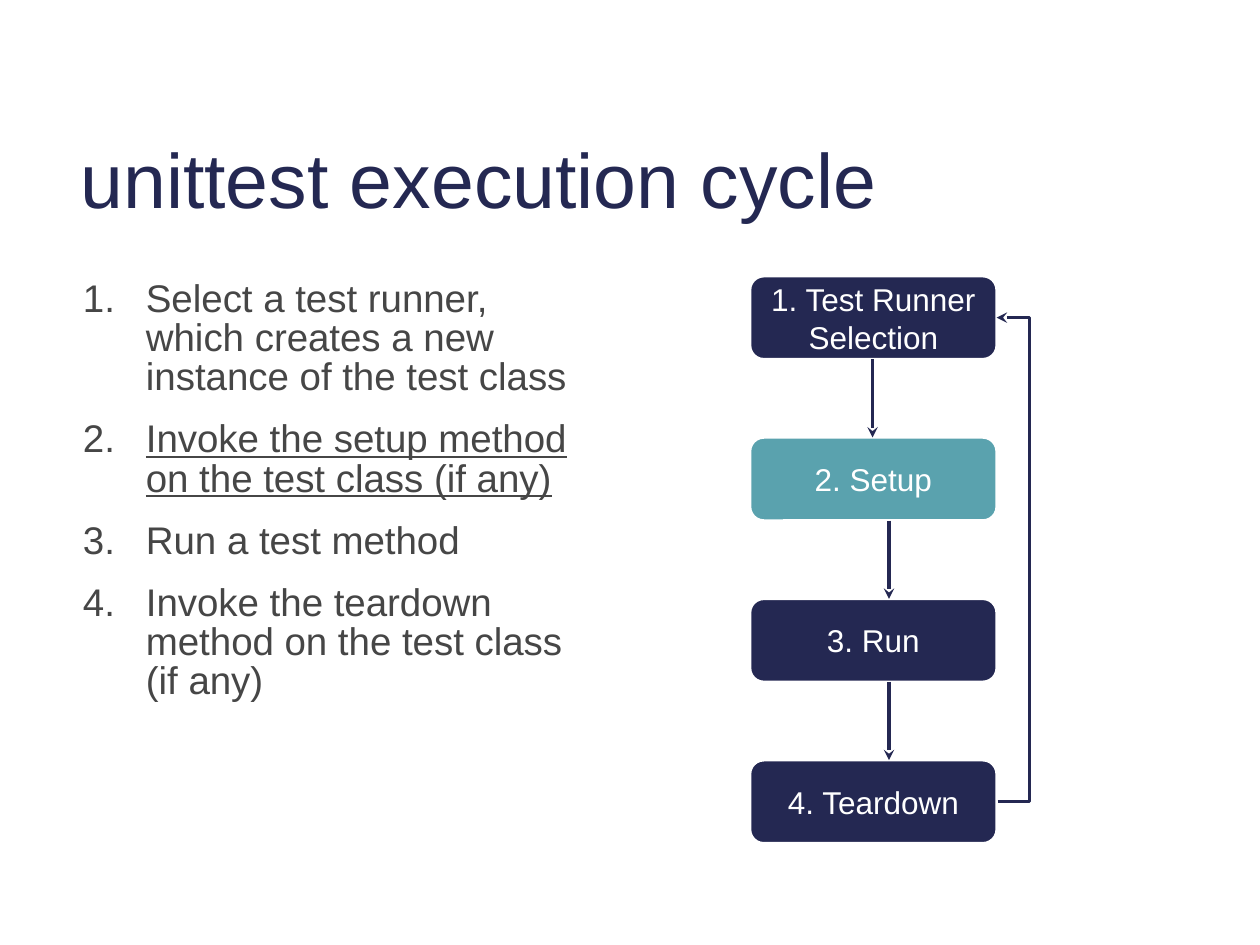
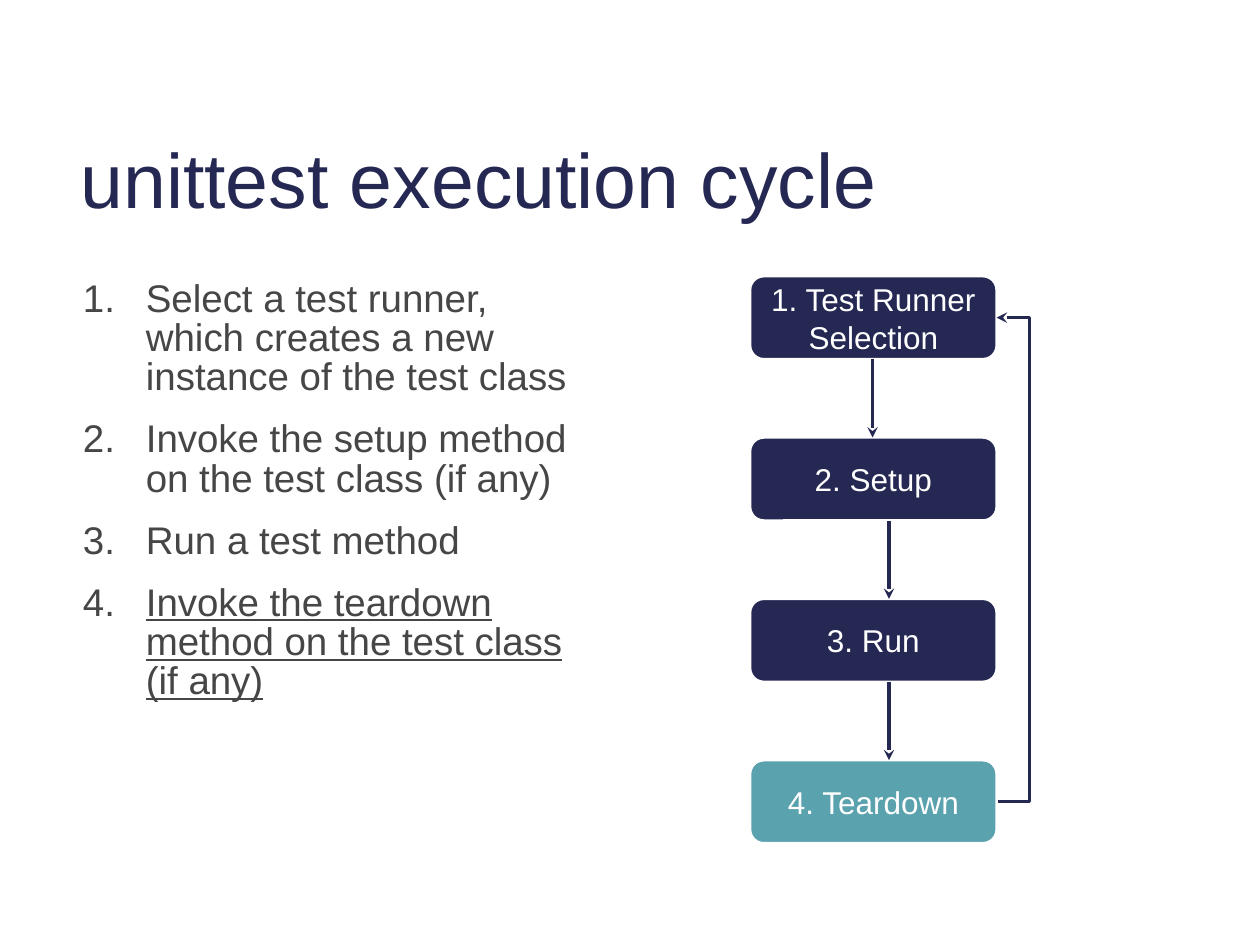
from pptx import Presentation
from pptx.dml.color import RGBColor
from pptx.enum.shapes import MSO_CONNECTOR, MSO_SHAPE
from pptx.enum.text import MSO_ANCHOR, PP_ALIGN
from pptx.oxml.ns import qn
from pptx.util import Pt
from lxml.etree import SubElement

NAVY, TEAL, GREY, WHITE = "242852", "5AA2AE", "464646", "FFFFFF"
color = RGBColor.from_string

TITLE = "unittest execution cycle"
INSTRUCTIONS = [
    "Select a test runner, which creates a new instance of the test class",
    "Invoke the setup method on the test class (if any)",
    "Run a test method",
    "Invoke the teardown method on the test class (if any)",
]
STEPS = ["1. Test Runner Selection", "2. Setup", "3. Run", "4. Teardown"]
HIGHLIGHTED_STEPS = [1, 3]  # one slide for each

# Flow chart geometry
BOX_LEFT, BOX_TOP, BOX_WIDTH, BOX_HEIGHT = 428.6, 157.8, 141, 47.5
BOX_PITCH = 92.2
ARROW_CENTERS = [498.6, 508, 508]
LOOP_REACH, LOOP_WIDTH = 18, 0.5


def add_run(paragraph, text, size, hex_color, underline=None):
    run = paragraph.add_run()
    run.text = text
    run.font.name = "Arial"
    run.font.size = Pt(size)
    run.font.color.rgb = color(hex_color)
    run.font.underline = underline


def add_arrow(slide, kind, *ends):
    connector = slide.shapes.add_connector(kind, *[Pt(end) for end in ends])
    connector.line.color.rgb = color(NAVY)
    connector.line.width = Pt(2)
    SubElement(connector.line._get_or_add_ln(), qn("a:tailEnd"), type="stealth")
    SubElement(connector._element.spPr, qn("a:effectLst"))
    return connector


presentation = Presentation()
presentation.slide_width, presentation.slide_height = Pt(720), Pt(540)

for highlighted in HIGHLIGHTED_STEPS:
    slide = presentation.slides.add_slide(presentation.slide_layouts[6])

    # Title
    title = slide.shapes.add_textbox(Pt(39), Pt(39.6), Pt(636.5), Pt(130.3))
    title.text_frame.word_wrap = True
    title.text_frame.vertical_anchor = MSO_ANCHOR.MIDDLE
    paragraph = title.text_frame.paragraphs[0]
    paragraph.line_spacing = 0.9
    add_run(paragraph, TITLE, 44, NAVY)

    # Numbered instructions
    body = slide.shapes.add_textbox(Pt(40.3), Pt(157), Pt(299.5), Pt(296.6))
    body.text_frame.word_wrap = True
    for index, instruction in enumerate(INSTRUCTIONS):
        paragraph = body.text_frame.paragraphs[0] if index == 0 else body.text_frame.add_paragraph()
        paragraph.line_spacing = 0.85
        paragraph.space_before = Pt(13 if index else 0)
        properties = paragraph._p.get_or_add_pPr()
        properties.set("marL", str(Pt(36)))
        properties.set("indent", str(-Pt(36)))
        bullet_color = SubElement(properties, qn("a:buClr"))
        SubElement(bullet_color, qn("a:srgbClr"), val=GREY)
        SubElement(properties, qn("a:buFont"), typeface="Arial")
        SubElement(properties, qn("a:buAutoNum"), type="arabicPeriod")
        add_run(paragraph, instruction, 22, GREY, index == highlighted)

    # Step boxes
    for index, step in enumerate(STEPS):
        box = slide.shapes.add_shape(
            MSO_SHAPE.ROUNDED_RECTANGLE, Pt(BOX_LEFT), Pt(BOX_TOP + index * BOX_PITCH),
            Pt(BOX_WIDTH), Pt(BOX_HEIGHT))
        box.shadow.inherit = False
        box.fill.solid()
        box.fill.fore_color.rgb = color(TEAL if index == highlighted else NAVY)
        box.line.color.rgb = color(WHITE)
        box.line.width = Pt(1.5)
        box.text_frame.word_wrap = True
        box.text_frame.vertical_anchor = MSO_ANCHOR.MIDDLE
        paragraph = box.text_frame.paragraphs[0]
        paragraph.alignment = PP_ALIGN.CENTER
        add_run(paragraph, step, 18, WHITE)

    # Loop from the last step back to the first
    right = BOX_LEFT + BOX_WIDTH
    first_middle = BOX_TOP + BOX_HEIGHT / 2
    last_middle = first_middle + (len(STEPS) - 1) * BOX_PITCH
    loop = add_arrow(slide, MSO_CONNECTOR.ELBOW,
                     right + LOOP_WIDTH, last_middle, right, first_middle)
    adjustments = loop._element.spPr.find(qn("a:prstGeom")).get_or_add_avLst()
    bend = round(-LOOP_REACH / LOOP_WIDTH * 100000)
    SubElement(adjustments, qn("a:gd"), name="adj1", fmla=f"val {bend}")

    # Arrows between neighbouring steps
    for index, center in enumerate(ARROW_CENTERS):
        box_top = BOX_TOP + index * BOX_PITCH
        add_arrow(slide, MSO_CONNECTOR.STRAIGHT,
                  center, box_top + BOX_HEIGHT, center, box_top + BOX_PITCH)

presentation.save("out.pptx")
